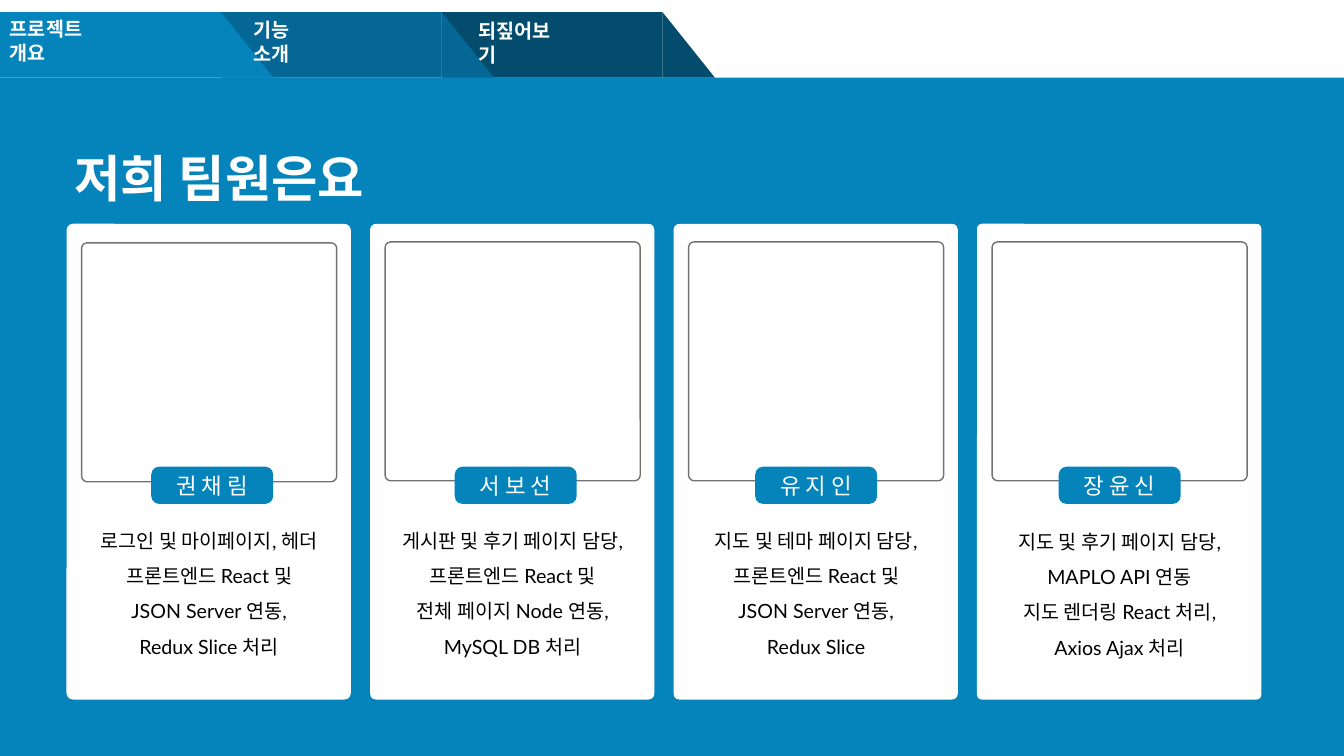
from pptx import Presentation
from pptx import util as u
from pptx.dml.color import RGBColor
from pptx.enum import shapes, text

WHITE = RGBColor(0xFF, 0xFF, 0xFF)
BLACK = RGBColor(0x00, 0x00, 0x00)
BLUE = RGBColor(0x05, 0x84, 0xBB)
MID_BLUE = RGBColor(0x04, 0x67, 0x95)
DARK_BLUE = RGBColor(0x03, 0x4C, 0x6D)
GRAY = RGBColor(0x76, 0x71, 0x71)

# Label, label left, label top, label width, tab colour
TABS = [
    ("프로젝트 개요", 0, 0.12, 1.29, BLUE),
    ("기능 소개", 2.42, 0.13, 0.94, MID_BLUE),
    ("되짚어보기", 4.65, 0.14, 1.07, DARK_BLUE),
]
TAB_WIDTH, TAB_TOP, TAB_HEIGHT = 2.19, 0.12, 0.65

# Name, corner ratio, frame top, badge left, duties top, duties
MEMBERS = [
    ("권 채 림", 0.023, 2.41, 1.5, 5.08,
     ["로그인 및 마이페이지, 헤더", "프론트엔드 React 및",
      "JSON Server 연동,", "Redux Slice 처리"]),
    ("서 보 선", 0.021, 2.4, 4.51, 5.08,
     ["게시판 및 후기 페이지 담당,\n프론트엔드 React 및\n전체 페이지 Node 연동,",
      "MySQL DB 처리"]),
    ("유 지 인", 0.021, 2.4, 7.49, 5.08,
     ["지도 및 테마 페이지 담당,", "프론트엔드 React 및",
      "JSON Server 연동,", "Redux Slice"]),
    ("장 윤 신", 0.017, 2.4, 10.5, 5.09,
     ["지도 및 후기 페이지 담당,", "MAPLO API 연동",
      "지도 렌더링 React 처리,", "Axios Ajax 처리"]),
]
CARD_LEFT, CARD_STEP = 0.66, 3.01


class SlideBuilder:
    font_name = "Lato"

    def __init__(self, slide):
        self.slide = slide

    def shape(self, kind, left, top, width, height, fill, line=None, corner=None):
        shape = self.slide.shapes.add_shape(
            kind, u.Inches(left), u.Inches(top), u.Inches(width), u.Inches(height))
        shape.shadow.inherit = False
        shape.fill.solid()
        shape.fill.fore_color.rgb = fill
        if line is None:
            shape.line.fill.background()
        else:
            shape.line.color.rgb = line
            shape.line.width = u.Pt(1)
        if corner is not None:
            shape.adjustments[0] = corner
        return shape

    def add_text(self, shape, paragraphs, size, color, bold=False, align=None, spacing=None):
        frame = shape.text_frame
        frame.word_wrap = True
        for index, content in enumerate(paragraphs):
            paragraph = frame.paragraphs[0] if index == 0 else frame.add_paragraph()
            paragraph.alignment = align
            paragraph.line_spacing = spacing
            for number, line in enumerate(content.split("\n")):
                if number:
                    paragraph.add_line_break()
                run = paragraph.add_run()
                run.text = line
                run.font.name = self.font_name
                run.font.size = u.Pt(size)
                run.font.bold = bold
                run.font.color.rgb = color

    def textbox(self, left, top, width, height, paragraphs, size, color, **style):
        box = self.slide.shapes.add_textbox(
            u.Inches(left), u.Inches(top), u.Inches(width), u.Inches(height))
        self.add_text(box, paragraphs, size, color, **style)

    def tab(self, left, color):
        self.shape(shapes.MSO_SHAPE.RECTANGLE, left, TAB_TOP, TAB_WIDTH, TAB_HEIGHT, color)
        self.shape(shapes.MSO_SHAPE.RIGHT_TRIANGLE, left + TAB_WIDTH, TAB_TOP,
                   0.52, TAB_HEIGHT, color)

    def member_card(self, left, name, corner, frame_top, badge_left, duties_top, duties):
        rounded = shapes.MSO_SHAPE.ROUNDED_RECTANGLE
        center = text.PP_ALIGN.CENTER
        self.shape(rounded, left, 2.22, 2.82, 4.72, WHITE, corner=corner)
        self.shape(rounded, left + 0.15, frame_top, 2.53, 2.37, WHITE,
                   line=GRAY, corner=0.023)
        badge = self.shape(rounded, badge_left, 4.63, 1.21, 0.37, BLUE, corner=0.212)
        badge.text_frame.vertical_anchor = text.MSO_ANCHOR.MIDDLE
        self.add_text(badge, [name], 16, WHITE, align=center)
        self.textbox(left + 0.15, duties_top, 2.53, 1.47, duties, 14, BLACK,
                     align=center, spacing=1.5)


def main():
    presentation = Presentation()
    presentation.slide_width = u.Inches(13.33)
    presentation.slide_height = u.Inches(7.5)
    builder = SlideBuilder(presentation.slides.add_slide(presentation.slide_layouts[6]))

    # Background and navigation tabs, rightmost tab at the back
    builder.shape(shapes.MSO_SHAPE.RECTANGLE, 0, 0.77, 13.33, 6.73, BLUE)
    for index, tab in reversed(list(enumerate(TABS))):
        builder.tab(index * TAB_WIDTH, tab[-1])
    for label, left, top, width, _ in TABS:
        builder.textbox(left, top, width, 0.34, [label], 14, WHITE, bold=True)

    # Title
    builder.textbox(0.64, 1.41, 5.86, 0.71, ["저희 팀원은요"], 36, WHITE, bold=True)

    # Team members
    for index, member in enumerate(MEMBERS):
        builder.member_card(CARD_LEFT + index * CARD_STEP, *member)

    presentation.save("out.pptx")


if __name__ == "__main__":
    main()
